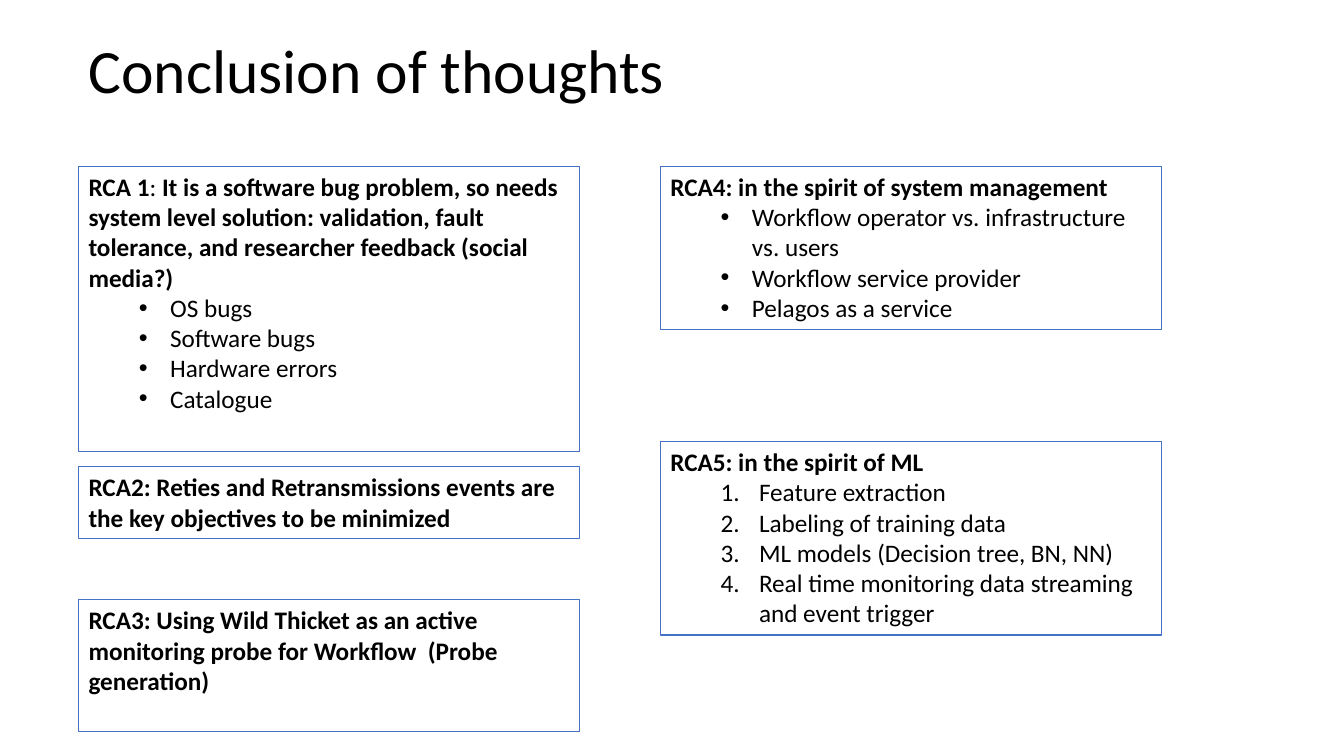
from lxml import etree
from pptx import Presentation
from pptx.dml.color import RGBColor
from pptx.enum.shapes import MSO_SHAPE
from pptx.enum.text import MSO_ANCHOR, PP_ALIGN
from pptx.oxml.ns import qn
from pptx.util import Inches, Pt

RECTANGLE = MSO_SHAPE.RECTANGLE
TOP, MIDDLE = MSO_ANCHOR.TOP, MSO_ANCHOR.MIDDLE
LEFT = PP_ALIGN.LEFT

SLIDE_WIDTH, SLIDE_HEIGHT = 13.33, 7.5
LEFT_MARGIN, COLUMN_WIDTH, COLUMN_GAP = 0.78, 4.97, 0.8
FONT, INK, BORDER = "Calibri", "000000", "4472C4"

BULLETS = {"tag": "a:buChar", "marker": {"char": "•"}, "font": "Arial",
           "indent": 0.81, "hanging": 0.31}
NUMBERS = {"tag": "a:buAutoNum", "marker": {"type": "arabicPeriod"}, "font": "+mj-lt",
           "indent": 0.88, "hanging": 0.38}

CONCLUSIONS = [
    (0, 1.65, 2.83,
     [("RCA 1", True), (": ", False),
      ("It is a software bug problem, so needs system level solution: validation, "
       "fault tolerance, and researcher feedback (social media?)", True)],
     BULLETS, ["OS bugs", "Software bugs", "Hardware errors", "Catalogue"]),
    (0, 4.63, 0.71,
     [("RCA2: Reties and Retransmissions events are the key objectives to be minimized", True)],
     None, []),
    (0, 5.95, 1.31,
     [("RCA3: Using Wild Thicket as an active monitoring probe for Workflow  "
       "(Probe generation)", True)],
     None, []),
    (1, 1.65, 1.62,
     [("RCA4: in the spirit of system management", True)],
     BULLETS, ["Workflow operator vs. infrastructure vs. users",
               "Workflow service provider", "Pelagos as a service"]),
    (1, 4.38, 1.92,
     [("RCA5: in the spirit of ML", True)],
     NUMBERS, ["Feature extraction", "Labeling of training data",
               "ML models (Decision tree, BN, NN)",
               "Real time monitoring data streaming and event trigger"]),
]


def colour(hex_code):
    return RGBColor.from_string(hex_code)


def apply_format(target, values):
    for attribute, value in values.items():
        setattr(target, attribute, value)


def add_text(paragraph, text, size, bold=False):
    run = paragraph.add_run()
    run.text = text
    apply_format(run.font, {"name": FONT, "size": Pt(size), "bold": bold})
    run.font.color.rgb = colour(INK)


def mark_item(paragraph, style):
    properties = paragraph._p.get_or_add_pPr()
    properties.set("marL", str(Inches(style["indent"])))
    properties.set("indent", str(-Inches(style["hanging"])))
    etree.SubElement(properties, qn("a:buFont"), typeface=style["font"])
    etree.SubElement(properties, qn(style["tag"]), **style["marker"])


def add_title(slide, box, text):
    title = slide.shapes.add_textbox(*map(Inches, box)).text_frame
    apply_format(title, {"word_wrap": True, "vertical_anchor": MIDDLE})
    heading = title.paragraphs[0]
    heading.line_spacing = 0.9
    add_text(heading, text, 44)


def add_conclusion(slide, box, statement, style, items):
    panel = slide.shapes.add_shape(RECTANGLE, *map(Inches, box))
    panel.shadow.inherit = False
    panel.fill.background()
    panel.line.color.rgb = colour(BORDER)
    panel.line.width = Pt(1)
    body = panel.text_frame
    apply_format(body, {"word_wrap": True, "vertical_anchor": TOP})
    lead = body.paragraphs[0]
    lead.alignment = LEFT
    for text, bold in statement:
        add_text(lead, text, 18, bold)
    for item in items:
        point = body.add_paragraph()
        apply_format(point, {"alignment": LEFT, "level": 1})
        mark_item(point, style)
        add_text(point, item, 18)


def build_conclusion_slide(deck):
    slide = deck.slides.add_slide(deck.slide_layouts[6])
    add_title(slide, (LEFT_MARGIN, 0, 11.5, 1.45), "Conclusion of thoughts")
    for column, top, height, statement, style, items in CONCLUSIONS:
        left = LEFT_MARGIN + column * (COLUMN_WIDTH + COLUMN_GAP)
        add_conclusion(slide, (left, top, COLUMN_WIDTH, height), statement, style, items)


deck = Presentation()
apply_format(deck, {"slide_width": Inches(SLIDE_WIDTH), "slide_height": Inches(SLIDE_HEIGHT)})
build_conclusion_slide(deck)
deck.save("out.pptx")
